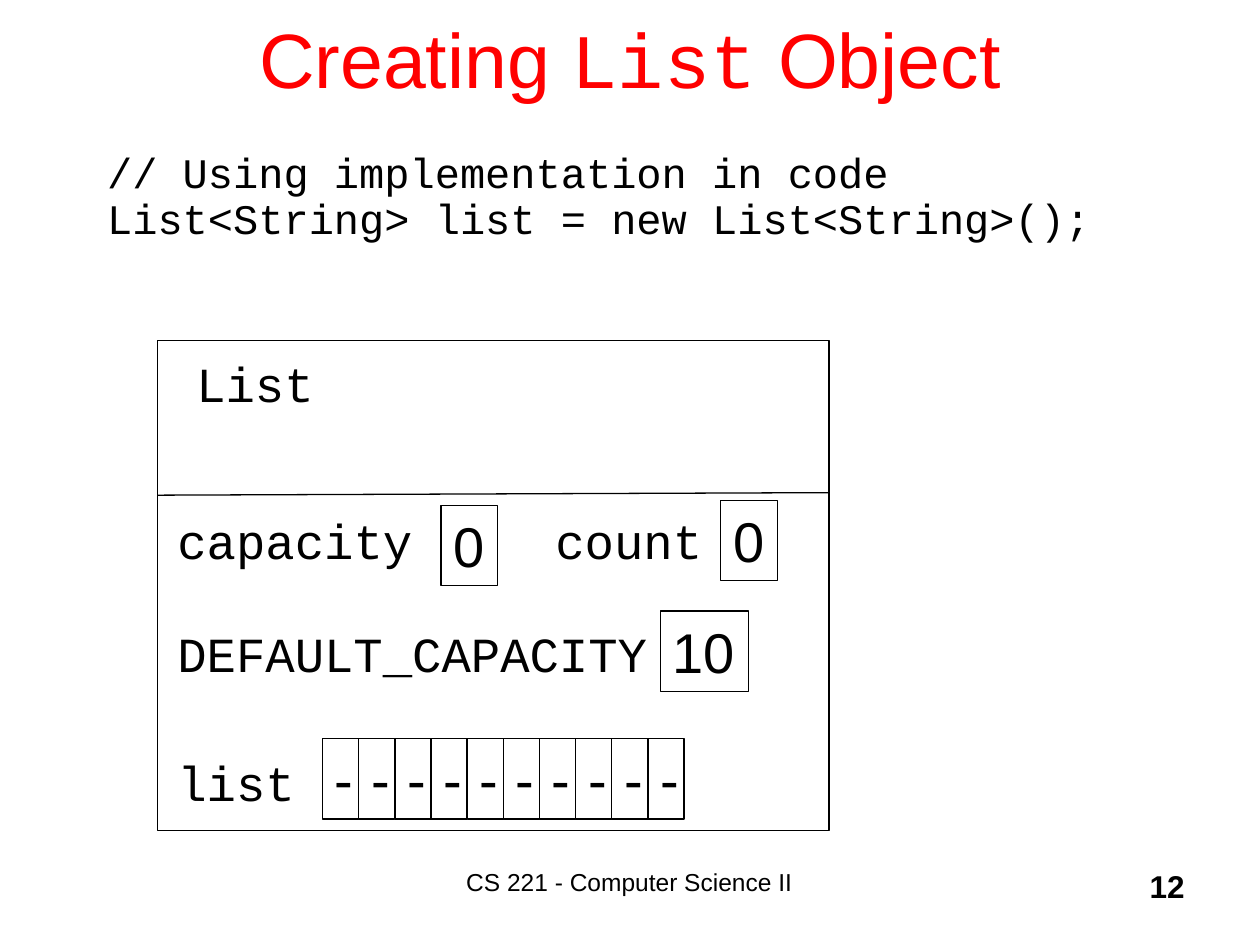
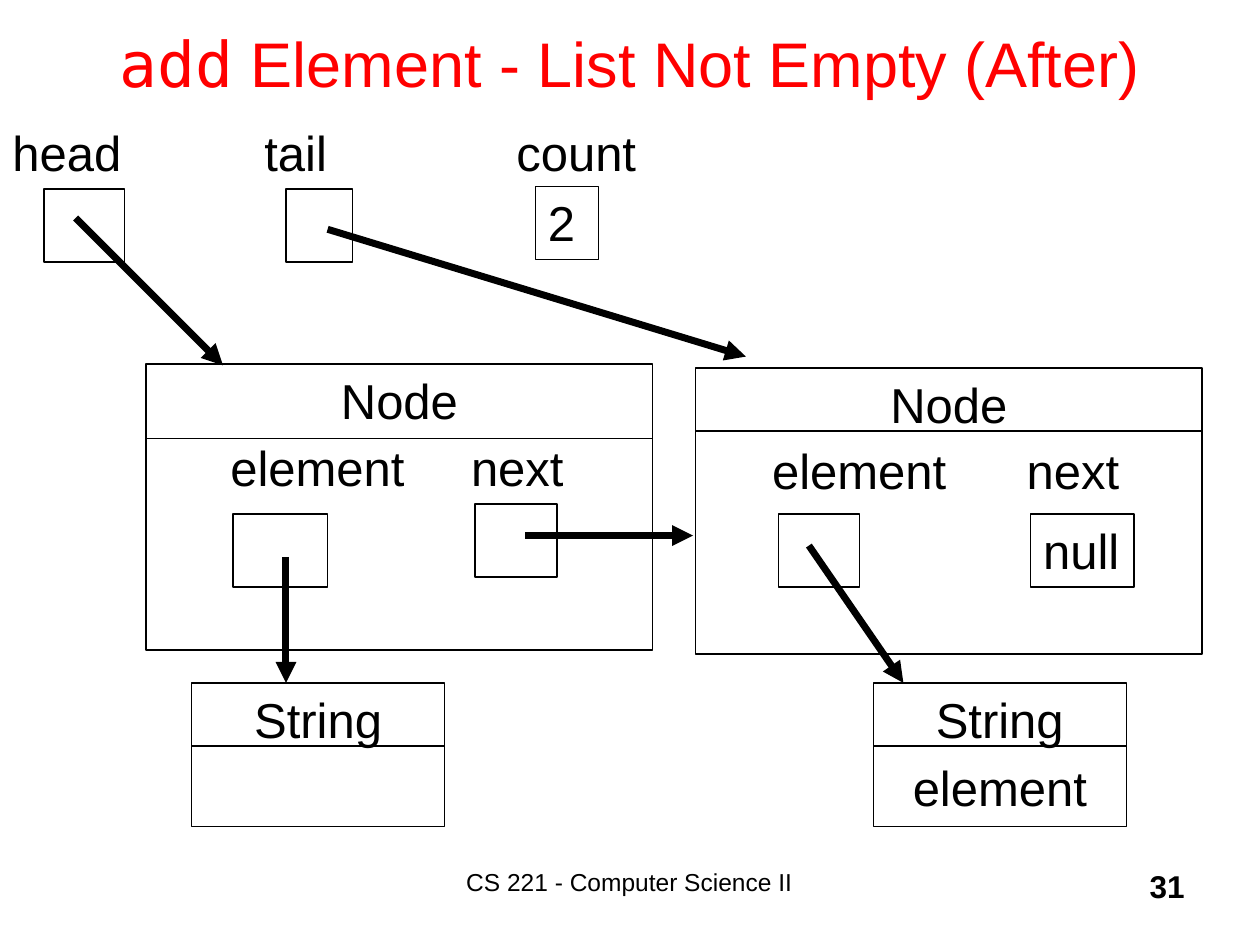
import pptx
import pptx.dml.color
import pptx.enum.shapes
import pptx.enum.text
import pptx.oxml
import pptx.oxml.ns
import pptx.util
from pptx.util import Inches

BLACK, RED = "000000", "FF0000"
SANS, CODE, MONO = "Arial", "Courier New", "DejaVu Sans Mono"
COURSE = "CS 221 - Computer Science II"
ALIGN = pptx.enum.text.PP_ALIGN
HEADING_SPACE = 0.2  # space before a paragraph, as a share of its size


def color(hex_code):
    return pptx.dml.color.RGBColor.from_string(hex_code)


def style_run(run, size, font=SANS, hex_code=BLACK, bold=False):
    run.font.size = pptx.util.Pt(size)
    run.font.name = font
    run.font.color.rgb = color(hex_code)
    run.font.bold = bold


def write(shape, text, size, font=SANS, align=ALIGN.LEFT, bold=False):
    """Fill a shape with top-anchored text, one paragraph a line."""
    frame = shape.text_frame
    frame.text = text
    frame.word_wrap = True
    frame.vertical_anchor = pptx.enum.text.MSO_ANCHOR.TOP
    for paragraph in frame.paragraphs:
        paragraph.alignment = align
        paragraph.space_before = pptx.util.Pt(size * HEADING_SPACE)
        for run in paragraph.runs:
            style_run(run, size, font, bold=bold)


def add_label(slide, text, left, top, width, height=0.57, size=28, **look):
    label = slide.shapes.add_textbox(
        Inches(left), Inches(top), Inches(width), Inches(height))
    write(label, text, size, **look)


def add_box(slide, left, top, width, height, text="", size=28, **look):
    box = slide.shapes.add_shape(
        pptx.enum.shapes.MSO_SHAPE.RECTANGLE,
        Inches(left), Inches(top), Inches(width), Inches(height))
    box.shadow.inherit = False
    box.fill.background()
    box.line.color.rgb = color(BLACK)
    box.line.width = pptx.util.Pt(0.75)
    if text:
        write(box, text, size, **look)


def add_line(slide, start, end, width=0.75):
    line = slide.shapes.add_connector(
        pptx.enum.shapes.MSO_CONNECTOR.STRAIGHT,
        *(Inches(value) for value in (*start, *end)))
    line.line.color.rgb = color(BLACK)
    line.line.width = pptx.util.Pt(width)
    properties = line._element.spPr
    properties.append(pptx.oxml.parse_xml(
        f'<a:effectLst {pptx.oxml.ns.nsdecls("a")}/>'))
    return line


def add_reference(slide, start, end):
    """Draw a thick arrow from a variable to the object it refers to."""
    arrow = add_line(slide, start, end, 4)
    arrow.line._get_or_add_ln().append(pptx.oxml.parse_xml(
        f'<a:tailEnd {pptx.oxml.ns.nsdecls("a")} type="triangle"/>'))


def place(shape, left, top, width, height):
    shape.left, shape.top = Inches(left), Inches(top)
    shape.width, shape.height = Inches(width), Inches(height)


def add_slide(deck, layout, title_parts, title_size, title_height, number):
    """Add a slide with its red title, course footer and page number."""
    slide = deck.slides.add_slide(deck.slide_layouts[layout])
    title = slide.shapes.title
    place(title, 0.75, -0.17, 8.5, title_height)
    title.text_frame.vertical_anchor = pptx.enum.text.MSO_ANCHOR.MIDDLE
    heading = title.text_frame.paragraphs[0]
    heading.alignment = ALIGN.CENTER
    for text, font in title_parts:
        run = heading.add_run()
        run.text = text
        style_run(run, title_size, font, RED)
    add_label(slide, COURSE, 3.08, 6.83, 3.83, 0.5, 14, align=ALIGN.CENTER)
    add_label(slide, number, 7.42, 6.83, 2.08, 0.5, 18,
              align=ALIGN.RIGHT, bold=True)
    return slide


def add_code(slide, code):
    body = slide.placeholders[1]
    place(body, 0.75, 1.16, 8.89, 1.23)
    write(body, code, 24, CODE)
    for paragraph in body.text_frame.paragraphs:
        paragraph.line_spacing = 0.9
        paragraph.space_before = pptx.util.Pt(0)
        properties = paragraph._p.get_or_add_pPr()
        properties.set("marL", "0")
        properties.set("indent", "0")
        properties.append(pptx.oxml.parse_xml(
            f'<a:buNone {pptx.oxml.ns.nsdecls("a")}/>'))


def add_node(slide, left, top, divider, element_offset, next_offset):
    """Draw a Node with its two field names."""
    add_box(slide, left, top, 4.02, 2.27, "Node", align=ALIGN.CENTER)
    add_line(slide, (left, divider), (left + 4.02, divider))
    add_label(slide, "element", left + element_offset, top + 0.53, 1.7)
    add_label(slide, "next", left + next_offset, top + 0.53, 1.1)


def add_string(slide, left, text):
    add_box(slide, left, 5.42, 2.01, 1.14, text, align=ALIGN.CENTER)
    add_line(slide, (left, 5.92), (left + 2.01, 5.92))


def build_list_object(deck):
    slide = add_slide(
        deck, 1, [("Creating ", SANS), ("List", CODE), (" Object", SANS)],
        44, 1.25, "12")
    add_code(slide, "// Using implementation in code\n"
                    "List<String> list = new List<String>();")

    # Object outline and class name
    add_box(slide, 1.25, 2.7, 5.33, 3.89)
    add_line(slide, (1.25, 3.93), (6.58, 3.91))
    add_label(slide, "List", 1.46, 2.76, 1.87, font=CODE)

    # Field names
    for field, left, top, width in [("capacity", 1.31, 4.0, 2.15),
                                    ("count", 4.31, 4.0, 1.4),
                                    ("DEFAULT_CAPACITY", 1.31, 4.9, 4.0),
                                    ("list", 1.31, 5.92, 1.2)]:
        add_label(slide, field, left, top, width, font=CODE)

    # Field values
    for value, left, top, width in [("0", 5.72, 3.97, 0.45),
                                    ("0", 3.5, 4.01, 0.45),
                                    ("10", 5.24, 4.85, 0.7)]:
        add_box(slide, left, top, width, 0.64, value, 32)

    # Ten empty array cells
    cell_width = 2.87 / 10
    for index in range(10):
        add_box(slide, 2.56 + index * cell_width, 5.86, cell_width, 0.64,
                "-", 32)


def build_linked_list(deck):
    slide = add_slide(
        deck, 5, [("add", MONO), (" Element - List Not Empty (After)", SANS)],
        36, 1.33, "31")

    # List fields
    for index, field in enumerate(["head", "tail", "count"]):
        add_label(slide, field, 2 * index, 0.92, 1.5)
    add_box(slide, 0.35, 1.5, 0.64, 0.58)
    add_box(slide, 2.27, 1.5, 0.53, 0.58)
    add_box(slide, 4.25, 1.48, 0.5, 0.58, "2")

    # First node
    add_node(slide, 1.16, 2.89, 3.48, 0.57, 2.48)
    add_box(slide, 1.85, 4.08, 0.75, 0.58)
    add_box(slide, 3.77, 4.0, 0.65, 0.58)

    # Second node
    add_node(slide, 5.52, 2.92, 3.42, 0.51, 2.53)
    add_box(slide, 6.18, 4.08, 0.64, 0.58)
    add_box(slide, 8.18, 4.08, 0.82, 0.58, "null")

    # Stored strings
    add_string(slide, 1.52, "String")
    add_string(slide, 6.93, "String\nelement")

    # References: head, tail, next, and the two elements
    for start, end in [((0.6, 1.73), (1.77, 2.9)),
                       ((2.6, 1.82), (5.92, 2.83)),
                       ((4.17, 4.25), (5.5, 4.25)),
                       ((2.27, 4.42), (2.27, 5.42)),
                       ((6.42, 4.33), (7.17, 5.42))]:
        add_reference(slide, start, end)


def main():
    deck = pptx.Presentation()
    deck.slide_width, deck.slide_height = Inches(10), Inches(7.5)
    build_list_object(deck)
    build_linked_list(deck)
    deck.save("out.pptx")


if __name__ == "__main__":
    main()
